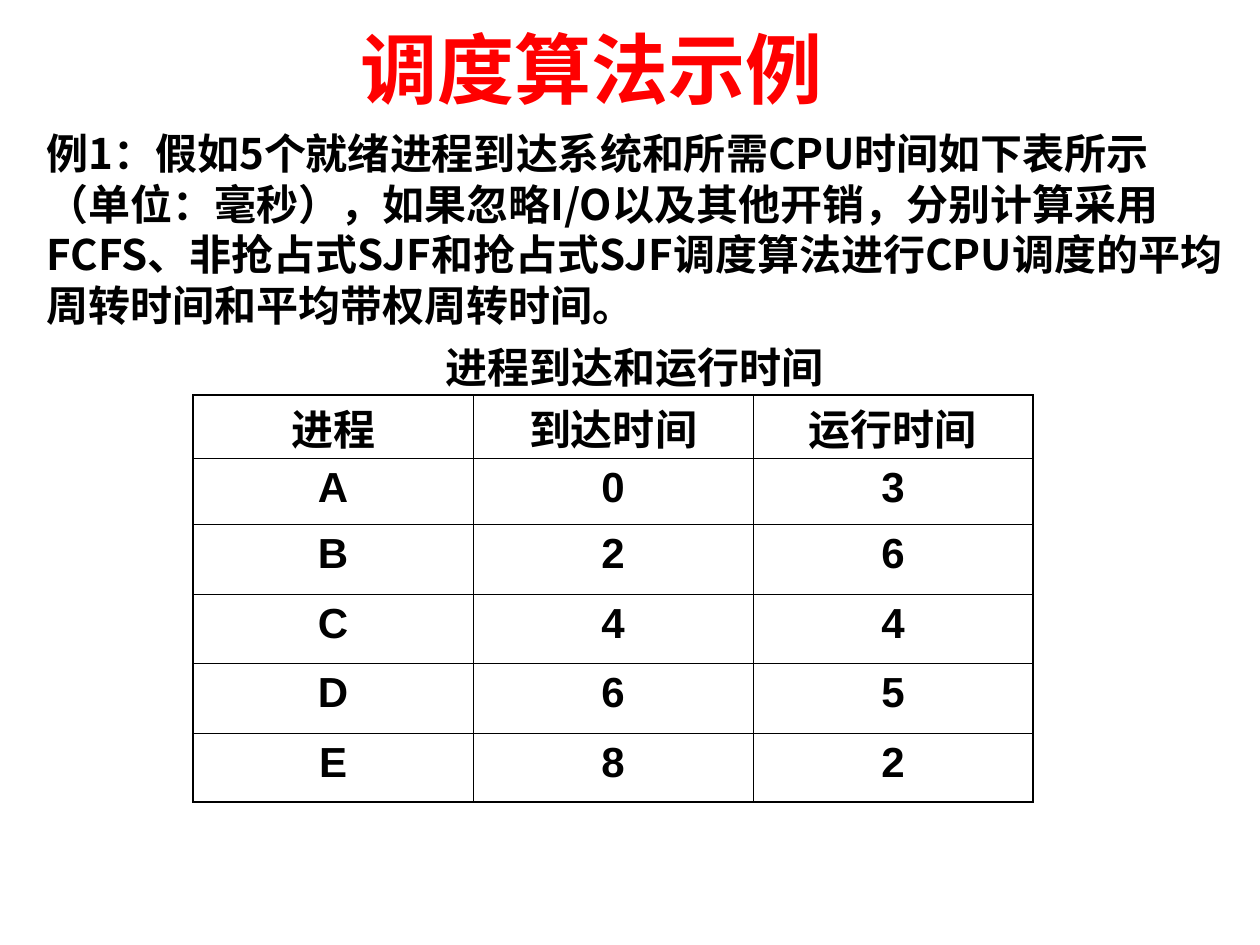
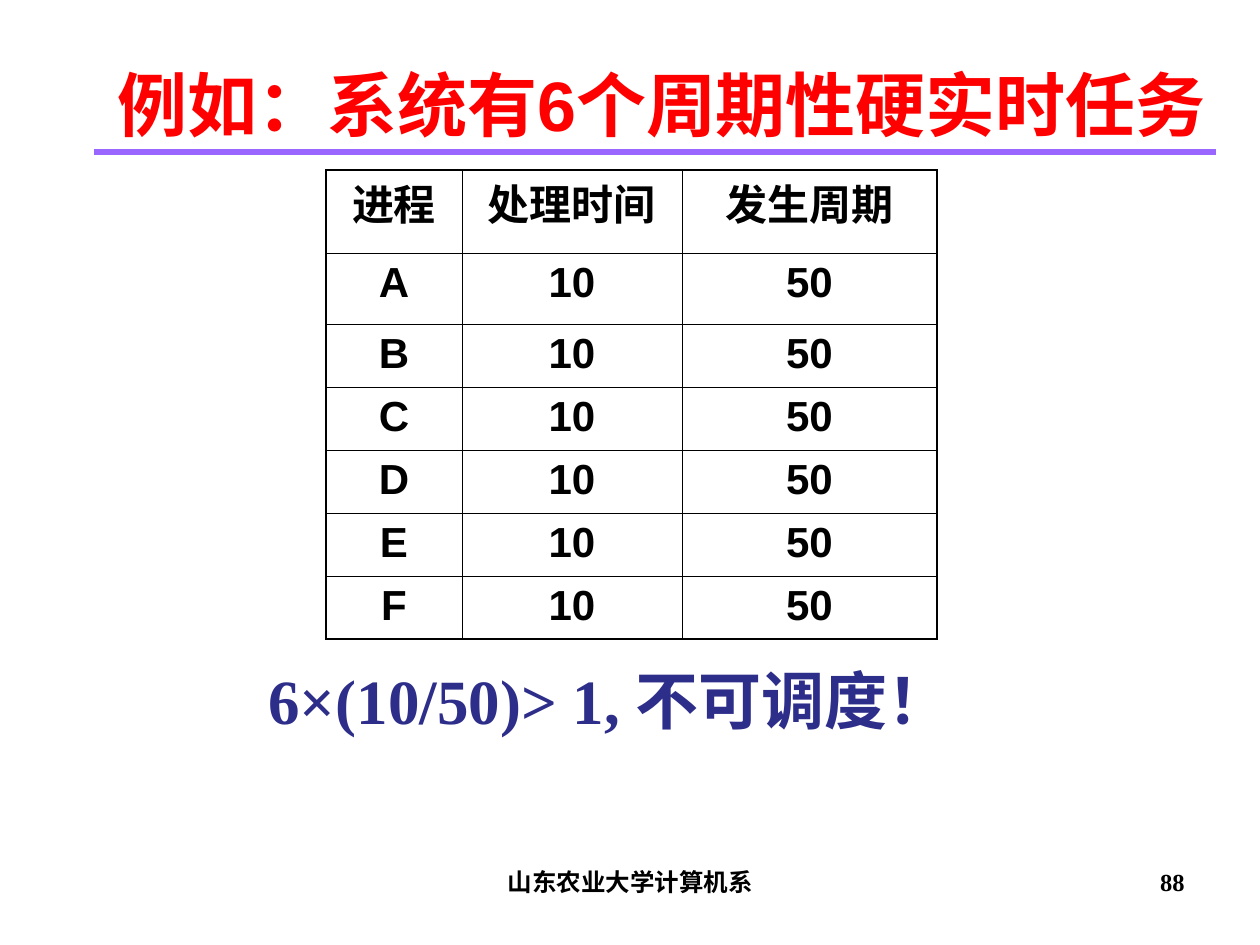
import pptx
import pptx.util
import pptx.dml.color
import pptx.enum.text
import pptx.enum.shapes
import pptx.oxml.ns
import lxml.etree

HAN, SANS, SERIF = "Noto Sans CJK SC", "Arial", "Times New Roman"
RED, BLACK, NAVY, VIOLET = "FF0000", "000000", "2D2D8A", "9966FF"
THIN, THICK = 0.45, 1.08
ALIGN = pptx.enum.text.PP_ALIGN
ANCHOR = pptx.enum.text.MSO_ANCHOR
Pt = pptx.util.Pt
rgb = pptx.dml.color.RGBColor.from_string
qn = pptx.oxml.ns.qn


def px(n):
    return round(n * 914400 / 126)


def write(para, words, size, face, hue, align=ALIGN.LEFT):
    para.text = words
    para.alignment = align
    font = para.font
    font.size, font.name, font.bold = Pt(size), face, True
    font.color.rgb = rgb(hue)
    # East Asian face follows the Latin one
    props = para._p.pPr.find(qn("a:defRPr"))
    lxml.etree.SubElement(props, qn("a:ea"), typeface=HAN)


deck = pptx.Presentation()
deck.slide_width, deck.slide_height = px(1260), px(945)

# Titles and tables: one entry per slide
pages = [
    dict(title=("调度算法示例", 44, HAN, RED, ALIGN.CENTER),
         place=(329, 15, 525, 106), at=(193, 395),
         cols=[280] * 3, rows=[63, 66, 70, 69, 70, 69],
         data=["进程 到达时间 运行时间", "A 0 3", "B 2 6", "C 4 4",
               "D 6 5", "E 8 2"]),
    dict(title=("例如：系统有6个周期性硬实时任务", 40, SANS, RED, ALIGN.LEFT),
         place=(105, 55, 1166, 97), at=(326, 170),
         cols=[136, 220, 255], rows=[83, 71] + [63] * 5,
         data=["进程 处理时间 发生周期"] + [f"{name} 10 50" for name in "ABCDEF"]),
]
for page in pages:
    slide = deck.slides.add_slide(deck.slide_layouts[5])
    title = slide.shapes.title
    title.left, title.top, title.width, title.height = map(px, page["place"])
    frame = title.text_frame
    frame.auto_size = pptx.enum.text.MSO_AUTO_SIZE.NONE
    frame.word_wrap = True
    frame.vertical_anchor = ANCHOR.MIDDLE
    write(frame.paragraphs[0], *page["title"])

    # Process table
    cols, rows = page["cols"], page["rows"]
    box = (*page["at"], sum(cols), sum(rows))
    grid = slide.shapes.add_table(len(rows), len(cols), *map(px, box)).table
    grid.first_row = grid.horz_banding = False
    for c, wide in enumerate(cols):
        grid.columns[c].width = px(wide)
    for r, high in enumerate(rows):
        grid.rows[r].height = px(high)
        for c, words in enumerate(page["data"][r].split()):
            cell = grid.cell(r, c)
            cell.fill.background()
            para = cell.text_frame.paragraphs[0]
            if r == 0:
                cell.margin_top, cell.margin_bottom = px(12), 0
                para.line_spacing = Pt(29)
            write(para, words, 24, SANS, BLACK, ALIGN.CENTER)
            # Thick frame, thin inner rules
            edges = [("L", c == 0), ("R", c == len(cols) - 1),
                     ("T", r == 0), ("B", r == len(rows) - 1)]
            props = cell._tc.get_or_add_tcPr()
            for i, (side, outer) in enumerate(edges):
                line = lxml.etree.Element(
                    qn("a:ln" + side), w=str(Pt(THICK if outer else THIN)))
                fill = lxml.etree.SubElement(line, qn("a:solidFill"))
                lxml.etree.SubElement(fill, qn("a:srgbClr"), val=BLACK)
                props.insert(i, line)

# Text boxes: slide, place, anchor, line pitch, paragraphs
notes = [
    (0, (34, 121, 1201, 275), ANCHOR.TOP, Pt(29), [
        ("例1：假如5个就绪进程到达系统和所需CPU时间如下表所示（单位：毫秒），"
         "如果忽略I/O以及其他开销，分别计算采用FCFS、非抢占式SJF和抢占式SJF"
         "调度算法进行CPU调度的平均周转时间和平均带权周转时间。",
         24, HAN, BLACK, ALIGN.LEFT),
        ("进程到达和运行时间", 24, HAN, BLACK, ALIGN.CENTER)]),
    (1, (256, 655, 788, 88), ANCHOR.MIDDLE, None, [
        ("6×(10/50)> 1, 不可调度！", 36, SERIF, NAVY, ALIGN.LEFT)]),
    (1, (431, 861, 399, 66), ANCHOR.TOP, None, [
        ("山东农业大学计算机系", 14, SERIF, BLACK, ALIGN.CENTER)]),
    (1, (903, 861, 294, 66), ANCHOR.TOP, None, [
        ("88", 14, SERIF, BLACK, ALIGN.RIGHT)]),
]
for page, place, anchor, pitch, paras in notes:
    frame = deck.slides[page].shapes.add_textbox(*map(px, place)).text_frame
    frame.word_wrap = True
    frame.vertical_anchor = anchor
    for i, item in enumerate(paras):
        para = frame.add_paragraph() if i else frame.paragraphs[0]
        if i:
            para.space_before = Pt(6)
        if pitch:
            para.line_spacing = pitch
        write(para, *item)

# Rule under the second title
rule = deck.slides[1].shapes.add_connector(
    pptx.enum.shapes.MSO_CONNECTOR.STRAIGHT, px(94), px(152), px(1216), px(152))
rule.line.color.rgb = rgb(VIOLET)
rule.line.width = Pt(3)
lxml.etree.SubElement(rule._element.spPr, qn("a:effectLst"))

deck.save("out.pptx")
